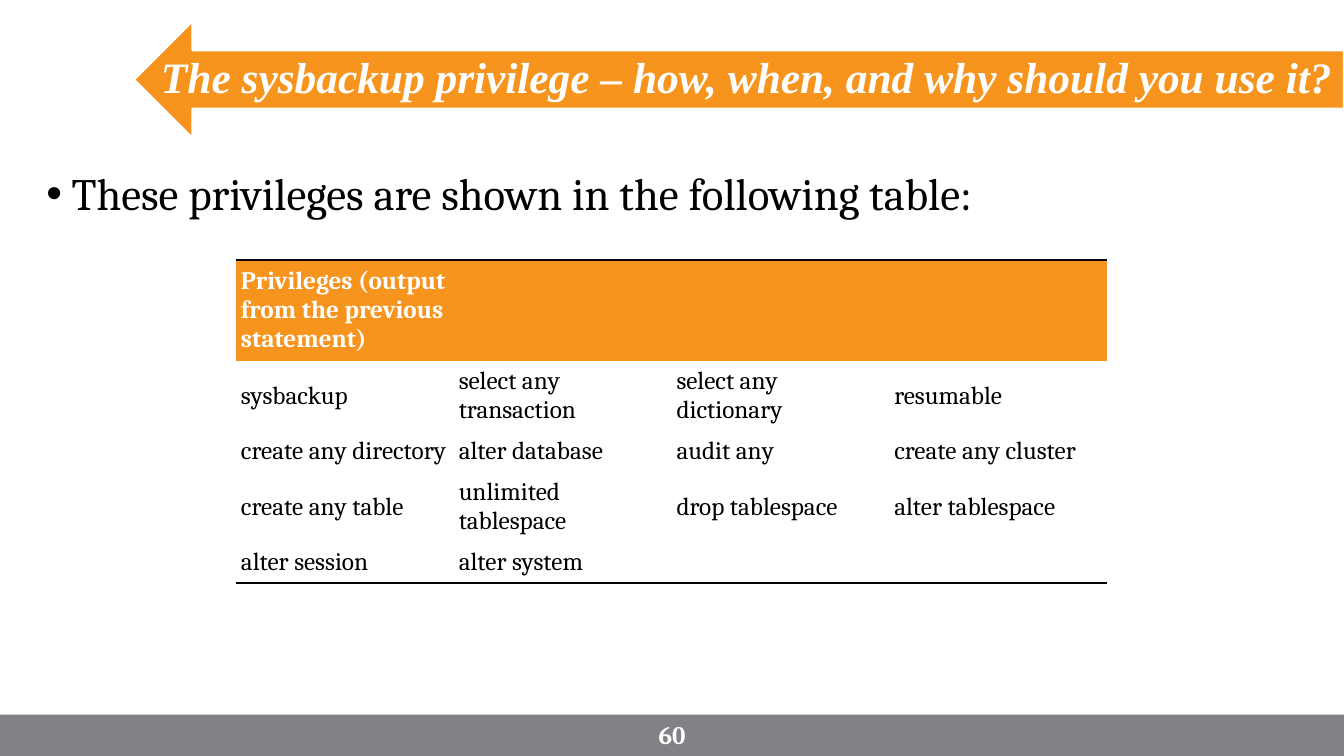
from lxml import etree
from pptx import Presentation
from pptx import util as u
from pptx.dml.color import RGBColor
from pptx.enum import shapes, text
from pptx.oxml import ns

ORANGE = RGBColor(0xF7, 0x94, 0x1D)
GRAY = RGBColor(0x81, 0x82, 0x86)
WHITE = RGBColor(0xFF, 0xFF, 0xFF)
BLACK = RGBColor(0, 0, 0)
NO_STYLE = "{2D5ABB26-0587-4C30-8999-92F81FD0307C}"

PRIVILEGES = [
    ["Privileges (output from the previous statement)", "", "", ""],
    ["sysbackup", "select any transaction", "select any dictionary", "resumable"],
    ["create any directory", "alter database", "audit any", "create any cluster"],
    ["create any table", "unlimited tablespace", "drop tablespace", "alter tablespace"],
    ["alter session", "alter system", "", ""],
]
ROW_LINES = [3, 2, 1, 2, 1]
LINE_HEIGHT, CELL_MARGIN, COLUMN_WIDTH = 0.29, 0.05, 2.16


def write(frame, words, size, color, font="Cambria", bold=False, italic=False):
    """Fill a text frame or cell frame with one formatted paragraph."""
    frame.text = words
    frame.word_wrap = True
    para = frame.paragraphs[0]
    for span in para.runs:
        span.font.name, span.font.size = font, u.Pt(size)
        span.font.bold, span.font.italic = bold, italic
        span.font.color.rgb = color
    return para


def place(box, left, top, width, height):
    box.left, box.top = u.Inches(left), u.Inches(top)
    box.width, box.height = u.Inches(width), u.Inches(height)


deck = Presentation()
deck.slide_width, deck.slide_height = u.Inches(13.33), u.Inches(7.5)
page = deck.slides.add_slide(deck.slide_layouts[1])
title, body = page.placeholders

# Banner arrow and footer bar, kept behind the text
for kind, color, area in [
    (shapes.MSO_SHAPE.LEFT_ARROW, ORANGE, (1.33, 0.21, 12, 1.16)),
    (shapes.MSO_SHAPE.RECTANGLE, GRAY, (0, 7.09, 13.33, 0.41)),
]:
    band = page.shapes.add_shape(kind, 0, 0, 0, 0)
    place(band, *area)
    band.shadow.inherit = False
    band.fill.solid()
    band.fill.fore_color.rgb = color
    if color == ORANGE:
        band.line.color.rgb = WHITE
        band.line.width = u.Pt(1.5)
    else:
        band.line.fill.background()
    title._element.addprevious(band._element)

# Title
place(title, 1.47, 0.43, 11.86, 0.72)
para = write(title.text_frame,
             "The sysbackup privilege – how, when, and why should you use it?",
             31, WHITE, "Times New Roman", bold=True, italic=True)
title.text_frame.auto_size = text.MSO_AUTO_SIZE.NONE
title.text_frame.vertical_anchor = text.MSO_ANCHOR.MIDDLE
para.alignment = text.PP_ALIGN.CENTER
para.line_spacing = 0.9

# Bullet
place(body, 0.36, 1.65, 12.59, 4.76)
para = write(body.text_frame, "These privileges are shown in the following table:", 32, BLACK)
body.text_frame.auto_size = text.MSO_AUTO_SIZE.NONE
para.line_spacing = 0.9
para.space_before = u.Pt(0)
indent = para._p.get_or_add_pPr()
indent.set("marL", str(u.Inches(0.25)))
indent.set("indent", str(u.Inches(-0.25)))
etree.SubElement(indent, ns.qn("a:buFont")).set("typeface", "Arial")
etree.SubElement(indent, ns.qn("a:buChar")).set("char", "•")

# Page number
number = page.shapes.add_textbox(0, 0, 0, 0)
place(number, 6.29, 7.09, 0.75, 0.4)
para = write(number.text_frame, "60", 18, WHITE, bold=True)
number.text_frame.vertical_anchor = text.MSO_ANCHOR.MIDDLE
para.alignment = text.PP_ALIGN.CENTER

# Privilege table
heights = [lines * LINE_HEIGHT + 2 * CELL_MARGIN for lines in ROW_LINES]
holder = page.shapes.add_table(len(PRIVILEGES), 4, u.Inches(2.34), u.Inches(2.58),
                               u.Inches(4 * COLUMN_WIDTH), u.Inches(sum(heights)))
table = holder.table
table.first_row = table.horz_banding = False
table._tbl.tblPr.find(ns.qn("a:tableStyleId")).text = NO_STYLE
for column in table.columns:
    column.width = u.Inches(COLUMN_WIDTH)

borders = {0: "a:lnT", len(PRIVILEGES) - 1: "a:lnB"}
for r, (row, height) in enumerate(zip(PRIVILEGES, heights)):
    table.rows[r].height = u.Inches(height)
    header = r == 0
    for c, words in enumerate(row):
        cell = table.cell(r, c)
        write(cell.text_frame, words, 18, WHITE if header else BLACK, bold=header)
        cell.vertical_anchor = text.MSO_ANCHOR.MIDDLE
        cell.margin_left = cell.margin_right = u.Inches(CELL_MARGIN)
        cell.margin_top = cell.margin_bottom = u.Inches(CELL_MARGIN)
        cell.fill.solid()
        cell.fill.fore_color.rgb = ORANGE if header else WHITE
        if r in borders:
            edge = etree.Element(ns.qn(borders[r]), w=str(u.Pt(2)))
            ink = etree.SubElement(edge, ns.qn("a:solidFill"))
            etree.SubElement(ink, ns.qn("a:srgbClr")).set("val", str(BLACK))
            cell._tc.get_or_add_tcPr().insert(0, edge)

deck.save("out.pptx")
